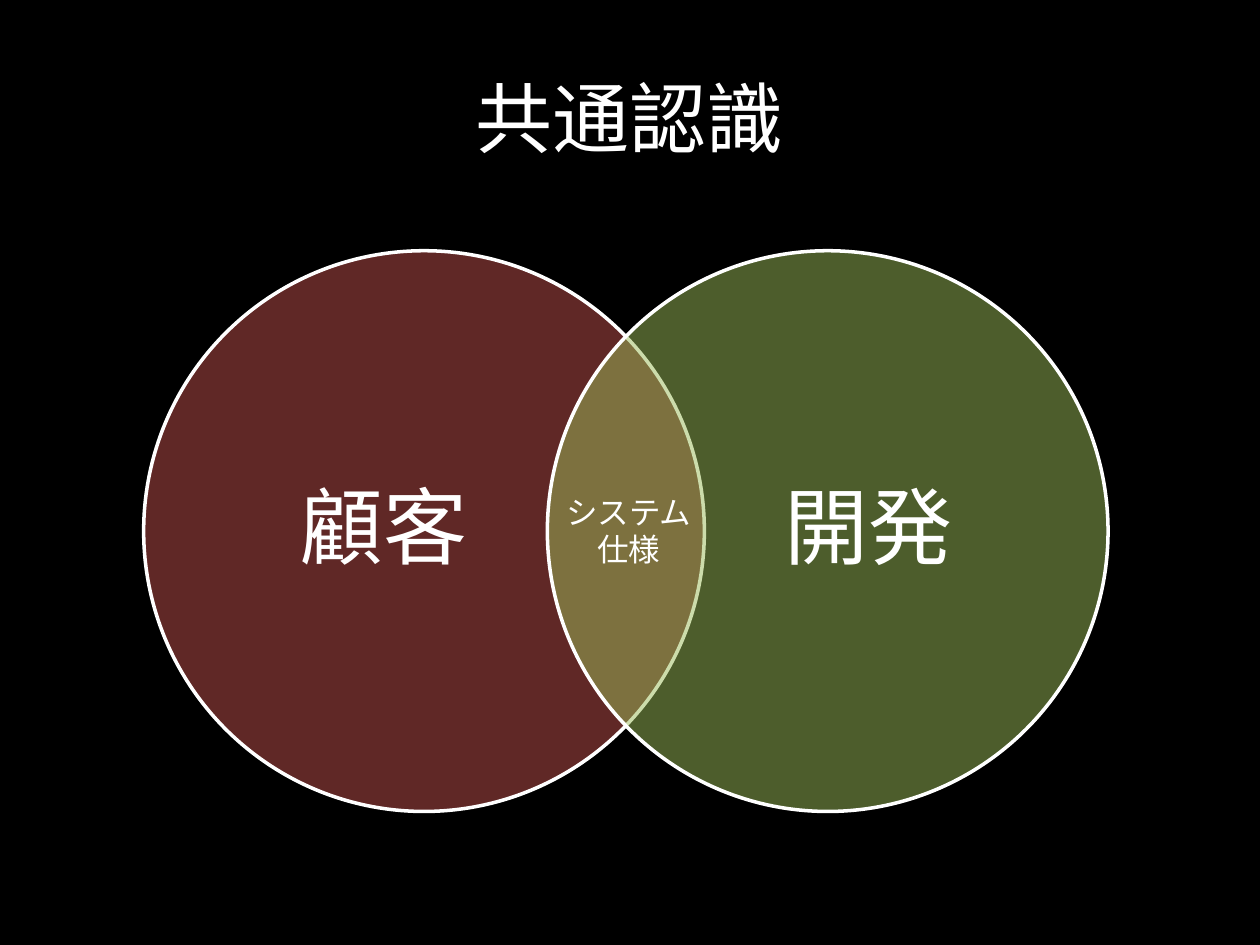
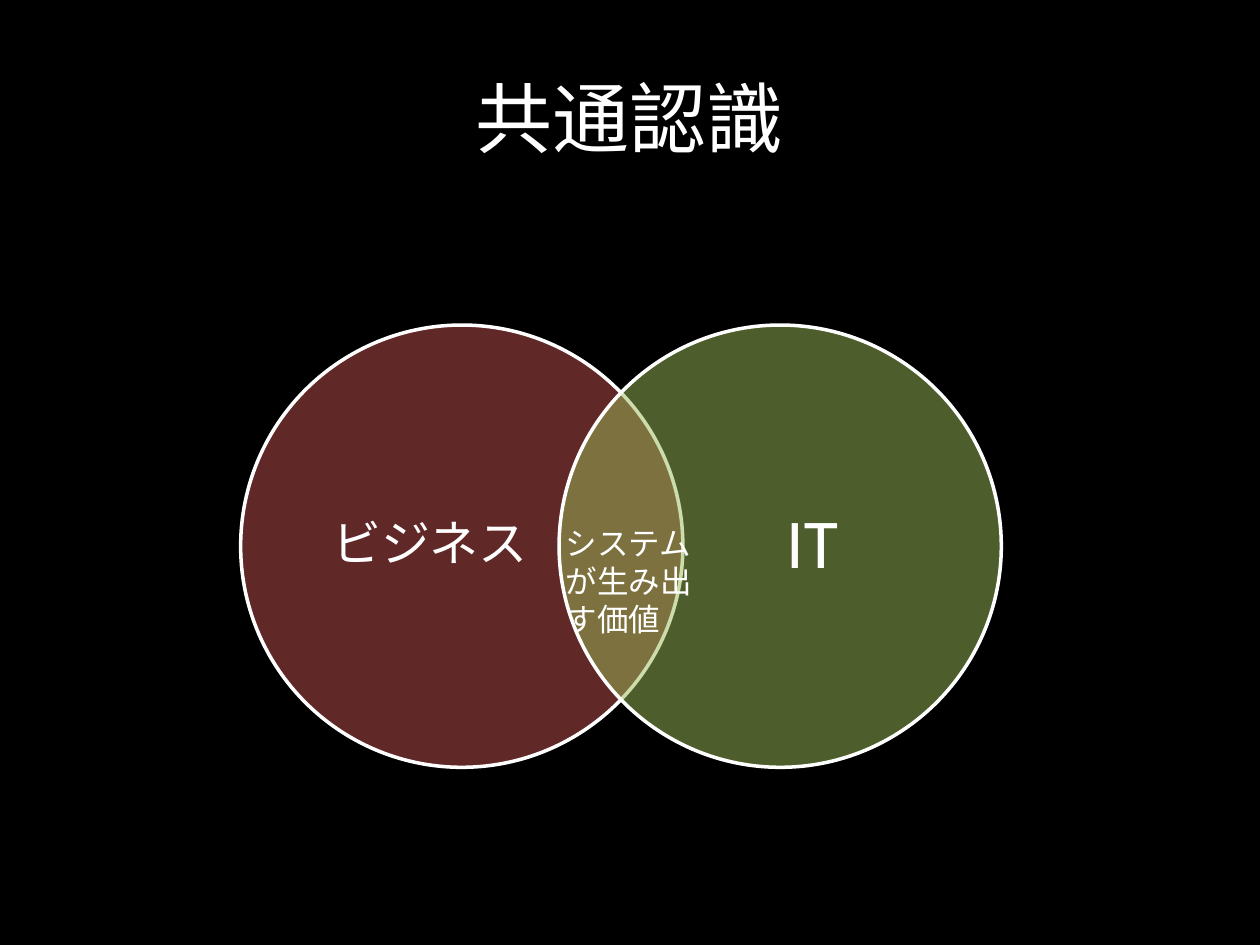
import pptx
import pptx.util
import pptx.dml.color
import pptx.enum.shapes
import pptx.enum.text
import pptx.oxml
import pptx.oxml.ns

WIDTH, HEIGHT = 10, 7.5
FONT = "Calibri"
COLORS = {"back": "000000", "ink": "FFFFFF", "left": "C0504D", "right": "9BBB59"}
TITLE = "共通認識"
TITLE_SIZE, OVERLAP_SIZE = 44, 18

# Circles: left, top, diameter. Sides: text and size. Overlap: box and paragraphs.
SLIDES = [
    {
        "circles": (1.14, 1.99, 4.45),
        "sides": [("顧客", 48), ("開発", 48)],
        "overlap": (4.37, 3.86, 1.24, 0.71),
        "overlap_lines": ["システム", "仕様"],
        "overlap_align": "CENTER",
    },
    {
        "circles": (1.91, 2.58, 3.51),
        "sides": [("ビジネス", 28), ("IT", 40)],
        "overlap": (4.39, 4.11, 1.24, 1.01),
        "overlap_lines": ["システムが生み出す価値"],
        "overlap_align": "LEFT",
    },
]

# Shares of a circle's diameter
CIRCLE_STEP = 0.72
LABEL_INSET, LABEL_TOP = 0.14, 0.117
LABEL_WIDTH, LABEL_HEIGHT = 0.576, 0.765


def color(name):
    return pptx.dml.color.RGBColor.from_string(COLORS[name])


def inches(*lengths):
    return [pptx.util.Inches(length) for length in lengths]


def add_text(shapes, place, lines, size, align="CENTER", anchor="MIDDLE"):
    box = shapes.add_textbox(*inches(*place))
    frame = box.text_frame
    frame.word_wrap = True
    frame.vertical_anchor = pptx.enum.text.MSO_ANCHOR[anchor]
    for index, line in enumerate(lines):
        para = frame.paragraphs[0] if index == 0 else frame.add_paragraph()
        para.alignment = pptx.enum.text.PP_ALIGN[align]
        span = para.add_run()
        span.text = line
        span.font.name = FONT
        span.font.size = pptx.util.Pt(size)
        span.font.color.rgb = color("ink")
    return frame


def add_circle(shapes, left, top, diameter, fill_name):
    """Add a half-transparent disc with a white outline."""
    circle = shapes.add_shape(
        pptx.enum.shapes.MSO_SHAPE.OVAL, *inches(left, top, diameter, diameter))
    circle.shadow.inherit = False
    circle.fill.solid()
    circle.fill.fore_color.rgb = color(fill_name)
    tint = circle.fill._xPr.find(".//" + pptx.oxml.ns.qn("a:srgbClr"))
    tint.append(pptx.oxml.parse_xml(
        f'<a:alpha {pptx.oxml.ns.nsdecls("a")} val="50000"/>'))
    circle.line.color.rgb = color("ink")
    circle.line.width = pptx.util.Pt(2)


def add_circle_label(shapes, place, text, size):
    frame = add_text(shapes, place, [text], size)
    frame.margin_left = frame.margin_right = 0
    frame.margin_top = frame.margin_bottom = 0
    para = frame.paragraphs[0]
    para.line_spacing = 0.9
    para.space_after = pptx.util.Pt(0.35 * size)


def add_venn(page, content):
    left, top, diameter = content["circles"]
    shapes = page.shapes.add_group_shape().shapes
    label_insets = (LABEL_INSET, 1 - LABEL_INSET - LABEL_WIDTH)
    for index, (text, size) in enumerate(content["sides"]):
        circle_left = left + index * CIRCLE_STEP * diameter
        add_circle(shapes, circle_left, top, diameter, ("left", "right")[index])
        place = (circle_left + label_insets[index] * diameter,
                 top + LABEL_TOP * diameter,
                 LABEL_WIDTH * diameter, LABEL_HEIGHT * diameter)
        add_circle_label(shapes, place, text, size)
    frame = add_text(page.shapes, content["overlap"], content["overlap_lines"],
                     OVERLAP_SIZE, content["overlap_align"], "TOP")
    frame.auto_size = pptx.enum.text.MSO_AUTO_SIZE.SHAPE_TO_FIT_TEXT


def add_page(deck):
    """Add a black slide with the shared title."""
    page = deck.slides.add_slide(deck.slide_layouts[6])
    page.background.fill.solid()
    page.background.fill.fore_color.rgb = color("back")
    place = (0.05 * WIDTH, 0.04 * HEIGHT, 0.9 * WIDTH, HEIGHT / 6)
    add_text(page.shapes, place, [TITLE], TITLE_SIZE)
    return page


def main():
    deck = pptx.Presentation()
    deck.slide_width, deck.slide_height = inches(WIDTH, HEIGHT)
    for content in SLIDES:
        add_venn(add_page(deck), content)
    deck.save("out.pptx")


if __name__ == "__main__":
    main()
